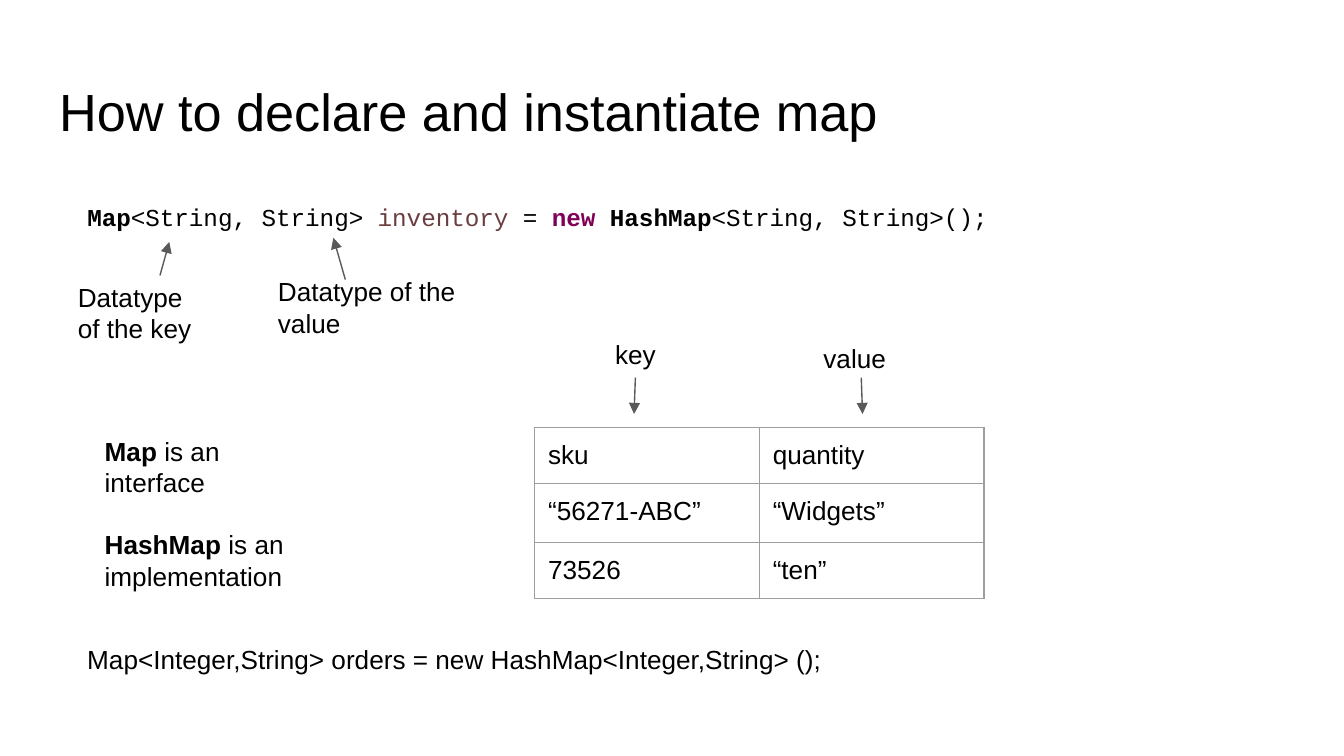
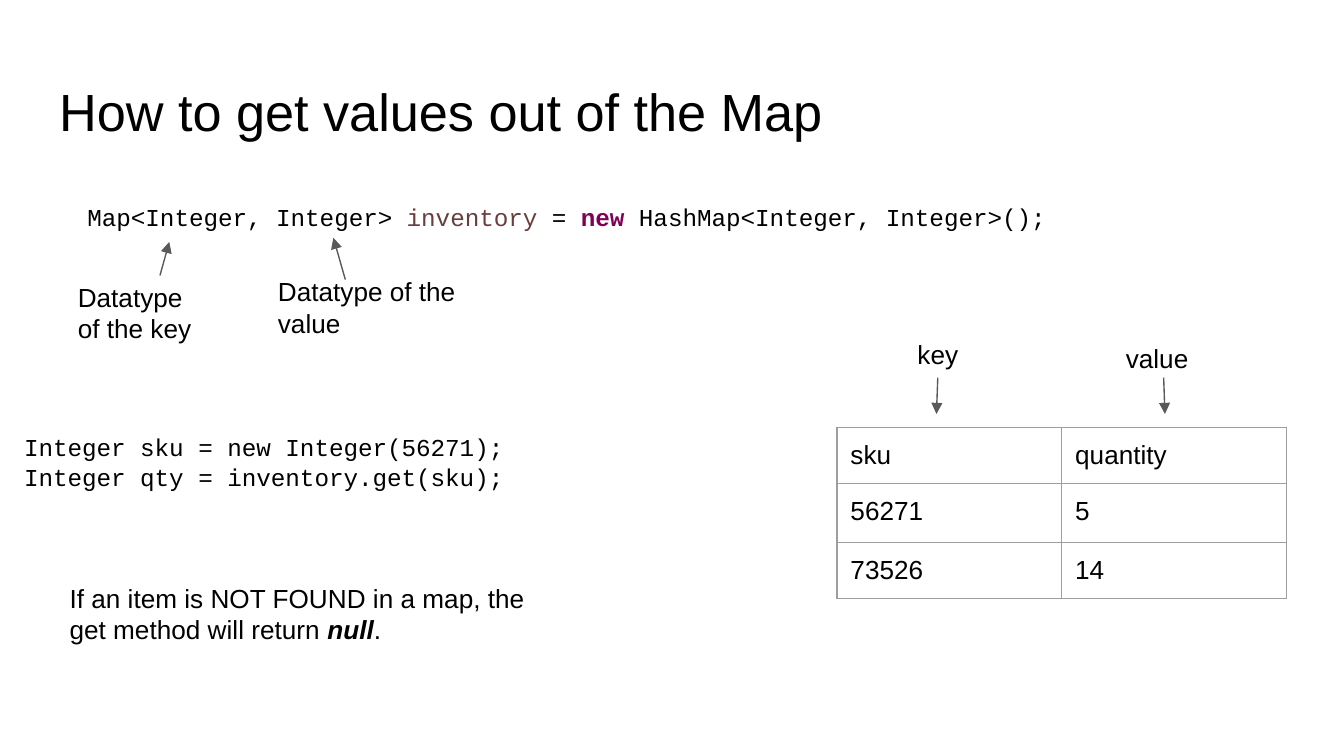
"""Build two slides on declaring a Java map and reading values from it."""
from lxml import etree
from pptx import Presentation
from pptx.dml.color import RGBColor
from pptx.enum import shapes, text
from pptx.oxml import ns
from pptx.util import Pt

BLACK = RGBColor(0x00, 0x00, 0x00)
FIELD = RGBColor(0x6A, 0x3E, 0x3E)
KEYWORD = RGBColor(0x7F, 0x00, 0x55)
ARROW = RGBColor(0x59, 0x59, 0x59)
GRID = RGBColor(0x9E, 0x9E, 0x9E)

TITLE = {"name": "Arial", "size": Pt(28)}
LABEL = {"name": "Arial", "size": Pt(14)}
CODE = {"name": "Courier New", "size": Pt(13)}
BOLD = {"bold": True}
VARIABLE = {"color": FIELD}
NEW = {"color": KEYWORD, "bold": True}

INSET, LINE = 7.2, 0.75
TITLE_BOX = (24.5, 35.3, 671, 45.4)
CODE_BOX = (39.6, 98.6, 601, 230)
TABLE_TOP, COL_W, ROW_HS = 229, 120.4, (30, 31.4, 30)

# Callouts: label, box, arrow start and end; table ones count x from the table's left edge.
TYPE_CALLOUTS = [
    ("Datatype of the key", (34.6, 143.3, 83.5, 27.4), (85.7, 147.6, 90.7, 129.6)),
    ("Datatype of the value", (141.8, 140.4, 118, 27.4), (185, 149.8, 178.6, 127.4)),
]
COLUMN_CALLOUTS = [
    ("key", (36, 174.2, 58.3, 19.4), (54, 202.3, 53.3, 221.8)),
    ("value", (147.6, 176.4, 70.6, 18.7), (175, 202.3, 175.7, 221.8)),
]

SLIDES = [
    {
        "title": "How to declare and instantiate map",
        "code": [("Map", BOLD), ("<String, String> ", {}), ("inventory", VARIABLE), (" = ", {}),
                 ("new ", NEW), ("HashMap", BOLD), ("<String, String>();", {})],
        "table_left": 286.4,
        "rows": [("sku", "quantity"), ("“56271-ABC”", "“Widgets”"), ("73526", "“ten”")],
        "notes": [
            ((49, 226, 126.7, 90.7), LABEL, 16.5,
             [[("Map", BOLD), (" is an interface", {})],
              [("HashMap", BOLD), (" is an implementation", {})]]),
            ((39.6, 337.7, 566, 22.3), LABEL, 0,
             [[("Map<Integer,String> orders = new HashMap<Integer,String> ();", {})]]),
        ],
    },
    {
        "title": "How to get values out of the Map",
        "code": [("Map<Integer, Integer> ", {}), ("inventory", VARIABLE), (" = ", {}),
                 ("new", NEW), (" HashMap<Integer, Integer>();", {})],
        "table_left": 448.4,
        "rows": [("sku", "quantity"), ("56271", "5"), ("73526", "14")],
        "notes": [
            ((5.8, 224.6, 427, 97.2), CODE, 0,
             [[("Integer sku = new Integer(56271);", {})],
              [("Integer qty = inventory.get(sku);", {})]]),
            ((30.2, 304.6, 274.3, 62.6), LABEL, 0,
             [[("If an item is NOT FOUND in a map, the get method will return ", {}),
               ("null", {"bold": True, "italic": True}), (".", {})]]),
        ],
    },
]


def assign(obj, values):
    for name, value in values.items():
        setattr(obj, name, value)


def place(sp, box):
    assign(sp, dict(zip(("left", "top", "width", "height"), map(Pt, box))))


def write(tf, paragraphs, style, gap=0, spacing=1.0):
    assign(tf, {"word_wrap": True, "auto_size": text.MSO_AUTO_SIZE.NONE,
                "vertical_anchor": text.MSO_ANCHOR.TOP})
    assign(tf, {f"margin_{side}": Pt(INSET) for side in ("left", "right", "top", "bottom")})
    for i, runs in enumerate(paragraphs):
        p = tf.add_paragraph() if i else tf.paragraphs[0]
        assign(p, {"alignment": text.PP_ALIGN.LEFT, "line_spacing": spacing,
                   "space_before": Pt(gap if i else 0)})
        for words, extra in runs:
            r = p.add_run()
            r.text = words
            font = {**style, "color": BLACK, **extra}
            r.font.color.rgb = font.pop("color")
            assign(r.font, font)


def add_text(s, box, *content):
    sp = s.shapes.add_textbox(*map(Pt, box))
    write(sp.text_frame, *content)


def add_arrow(s, ends):
    sp = s.shapes.add_connector(shapes.MSO_CONNECTOR.STRAIGHT, *map(Pt, ends))
    sp.line.color.rgb = ARROW
    sp.line.width = Pt(LINE)
    etree.SubElement(sp.line._get_or_add_ln(), ns.qn("a:tailEnd"), type="triangle")
    etree.SubElement(sp._element.spPr, ns.qn("a:effectLst"))


def add_callouts(s, callouts, dx=0):
    for label, (x, y, w, h), (x1, y1, x2, y2) in callouts:
        add_arrow(s, (x1 + dx, y1, x2 + dx, y2))
        add_text(s, (x + dx, y, w, h), [[(label, {})]], LABEL)


def add_borders(cell):
    tc_pr = cell._tc.get_or_add_tcPr()
    for i, side in enumerate("LRTB"):
        ln = etree.Element(ns.qn(f"a:ln{side}"), w=str(Pt(LINE)))
        fill = etree.SubElement(ln, ns.qn("a:solidFill"))
        etree.SubElement(fill, ns.qn("a:srgbClr"), val=str(GRID))
        tc_pr.insert(i, ln)


def add_grid(s, left, rows):
    n_cols = len(rows[0])
    frame = s.shapes.add_table(len(rows), n_cols, Pt(left), Pt(TABLE_TOP),
                               Pt(COL_W * n_cols), Pt(sum(ROW_HS)))
    table = frame.table
    assign(table, {"first_row": False, "horz_banding": False})
    for col in table.columns:
        col.width = Pt(COL_W)
    for row, height, values in zip(table.rows, ROW_HS, rows):
        row.height = Pt(height)
        for cell, value in zip(row.cells, values):
            assign(cell, {f"margin_{side}": Pt(INSET)
                          for side in ("left", "right", "top", "bottom")})
            cell.fill.background()
            add_borders(cell)
            r = cell.text_frame.paragraphs[0].add_run()
            r.text = value
            assign(r.font, LABEL)
            r.font.color.rgb = BLACK


def add_slide(prs, content):
    s = prs.slides.add_slide(prs.slide_layouts[1])
    title, body = s.placeholders
    place(title, TITLE_BOX)
    write(title.text_frame, [[(content["title"], {})]], TITLE)
    place(body, CODE_BOX)
    write(body.text_frame, [content["code"]], CODE, 0, 1.15)
    p_pr = body.text_frame.paragraphs[0]._p.get_or_add_pPr()
    p_pr.set("marL", "0")
    p_pr.set("indent", "0")
    etree.SubElement(p_pr, ns.qn("a:buNone"))
    add_grid(s, content["table_left"], content["rows"])
    add_callouts(s, COLUMN_CALLOUTS, content["table_left"])
    add_callouts(s, TYPE_CALLOUTS)
    for box, style, gap, paragraphs in content["notes"]:
        add_text(s, box, paragraphs, style, gap)


def main():
    prs = Presentation()
    assign(prs, {"slide_width": Pt(720), "slide_height": Pt(405)})
    for content in SLIDES:
        add_slide(prs, content)
    prs.save("out.pptx")


if __name__ == "__main__":
    main()
